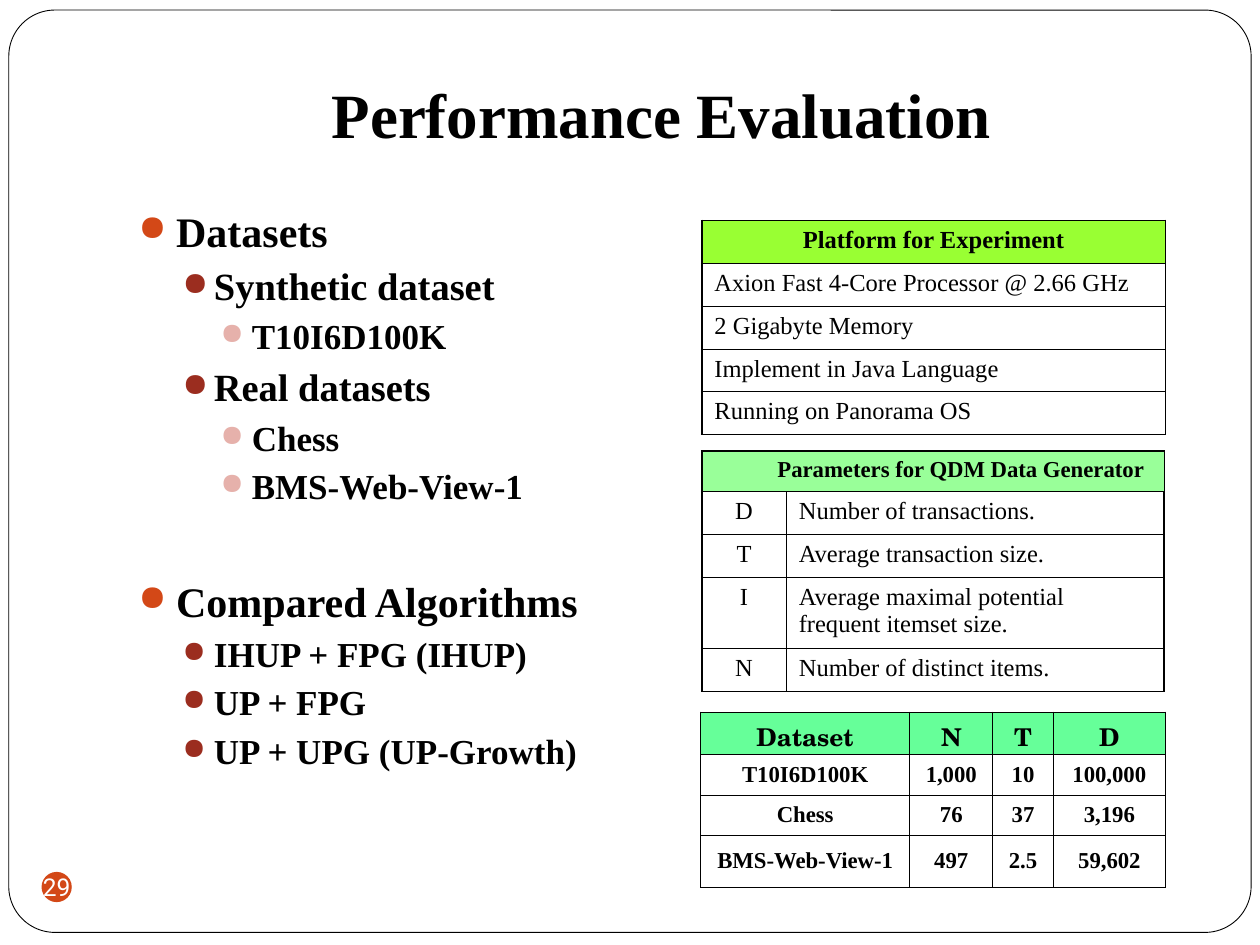
from lxml.etree import SubElement
from pptx import Presentation
from pptx.dml.color import RGBColor
from pptx.enum.shapes import MSO_SHAPE
from pptx.enum.text import MSO_ANCHOR, PP_ALIGN
from pptx.oxml.ns import qn
from pptx.util import Inches, Pt

BLACK = RGBColor(0x00, 0x00, 0x00)
WHITE = RGBColor(0xFF, 0xFF, 0xFF)
ORANGE = RGBColor(0xD3, 0x48, 0x17)
BRICK = RGBColor(0x9B, 0x2D, 0x1F)
PINK = RGBColor(0xE6, 0xB1, 0xAB)
LIME = RGBColor(0x99, 0xFF, 0x33)
LIGHT_GREEN = RGBColor(0x99, 0xFF, 0x99)
MINT = RGBColor(0x66, 0xFF, 0x99)

SERIF = "Times New Roman"
SCHOOLBOOK = "TeX Gyre Schola"
SANS = "Roboto"
CENTER, LEFT = PP_ALIGN.CENTER, PP_ALIGN.LEFT
MIDDLE, TOP = MSO_ANCHOR.MIDDLE, MSO_ANCHOR.TOP
THIN, THICK = 0.45, 1.08

BULLET_LEVELS = [
    {"left": 0.3, "hanging": 0.3, "color": ORANGE},
    {"left": 0.6, "hanging": 0.25, "color": BRICK},
    {"left": 0.9, "hanging": 0.25, "color": PINK},
]
OUTLINE = [
    (0, 24, "Datasets"),
    (1, 22, "Synthetic dataset"),
    (2, 20, "T10I6D100K"),
    (1, 22, "Real datasets"),
    (2, 20, "Chess"),
    (2, 20, "BMS-Web-View-1"),
    (0, 24, "Compared Algorithms"),
    (1, 20, "IHUP + FPG (IHUP)"),
    (1, 20, "UP + FPG"),
    (1, 20, "UP + UPG (UP-Growth)"),
]
SECTION_GAP, ITEM_GAP = 39.2, 3.7
PLATFORM = [
    "Platform for Experiment",
    "Axion Fast 4-Core Processor @ 2.66 GHz",
    "2 Gigabyte Memory",
    "Implement in Java Language",
    "Running on Panorama OS",
]
PARAMETERS = [
    ("Parameters for QDM Data Generator", ""),
    ("D", "Number of transactions."),
    ("T", "Average transaction size."),
    ("I", "Average maximal potential\vfrequent itemset size."),
    ("N", "Number of distinct items."),
]
DATASETS = [
    ("Dataset", "N", "T", "D"),
    ("T10I6D100K", "1,000", "10", "100,000"),
    ("Chess", "76", "37", "3,196"),
    ("BMS-Web-View-1", "497", "2.5", "59,602"),
]


class SlideBuilder:
    def __init__(self, page):
        self.page = page
        self.style = {"name": SERIF, "size": 14, "bold": False, "color": BLACK}

    def fill_text(self, para, text, align=LEFT, **changes):
        para.text = text
        para.alignment = align
        values = {**self.style, **changes}
        color = values.pop("color")
        values["size"] = Pt(values["size"])
        for span in para.runs:
            for name, value in values.items():
                setattr(span.font, name, value)
            span.font.color.rgb = color

    def shape(self, kind, left, top, width, height, fill):
        shape = self.page.shapes.add_shape(
            kind, Inches(left), Inches(top), Inches(width), Inches(height))
        shape.shadow.inherit = False
        shape.fill.solid()
        shape.fill.fore_color.rgb = fill
        shape.line.fill.background()
        return shape

    def frame(self):
        frame = self.shape(MSO_SHAPE.ROUNDED_RECTANGLE, 0.07, 0.08, 9.86, 7.32, WHITE)
        frame.adjustments[0] = 0.05
        frame.line.color.rgb = BLACK
        frame.line.width = Pt(0.5)

    def page_number(self, text):
        badge = self.shape(MSO_SHAPE.OVAL, 0.33, 6.92, 0.24, 0.24, ORANGE)
        box = badge.text_frame
        settings = {"margin_left": 0, "margin_right": 0, "margin_top": 0,
                    "margin_bottom": 0, "word_wrap": False,
                    "vertical_anchor": MIDDLE}
        for name, value in settings.items():
            setattr(box, name, value)
        self.fill_text(box.paragraphs[0], text, CENTER, name=SANS, color=WHITE)

    def text_box(self, left, top, width, height):
        box = self.page.shapes.add_textbox(
            Inches(left), Inches(top), Inches(width), Inches(height)).text_frame
        box.word_wrap = True
        return box

    def title(self, text):
        box = self.text_box(1, 0.3, 8.5, 1.25)
        box.vertical_anchor = MIDDLE
        box.margin_bottom = Inches(0.1)
        self.fill_text(box.paragraphs[0], text, CENTER, size=36, bold=True)

    def bullets(self, items):
        box = self.text_box(1, 1.58, 8.5, 5.67)
        for index, (level, size, text) in enumerate(items):
            para = box.add_paragraph() if index else box.paragraphs[0]
            look = BULLET_LEVELS[level]
            properties = para._p.get_or_add_pPr()
            properties.set("marL", str(Inches(look["left"])))
            properties.set("indent", str(-Inches(look["hanging"])))
            color = SubElement(properties, qn("a:buClr"))
            SubElement(color, qn("a:srgbClr"), val=str(look["color"]))
            SubElement(properties, qn("a:buSzPct"), val="85000")
            SubElement(properties, qn("a:buChar"), char="●")
            para.level = level
            if index:
                para.space_before = Pt(ITEM_GAP if level else SECTION_GAP)
            self.fill_text(para, text, size=size, bold=True)

    def borders(self, cell, widths):
        properties = cell._tc.get_or_add_tcPr()
        for side, width in zip("LRTB", widths):
            line = SubElement(properties, qn(f"a:ln{side}"), w=str(Pt(width)))
            fill = SubElement(line, qn("a:solidFill"))
            SubElement(fill, qn("a:srgbClr"), val=str(BLACK))

    def table(self, left, top, columns, heights, rows, look, outer=THICK):
        table = self.page.shapes.add_table(
            len(rows), len(columns), Inches(left), Inches(top),
            Inches(sum(columns)), Inches(sum(heights))).table
        for column, width in zip(table.columns, columns):
            column.width = Inches(width)
        for row, height in zip(table.rows, heights):
            row.height = Inches(height)
        last_row, last_column = len(rows) - 1, len(columns) - 1
        for y, texts in enumerate(rows):
            for x, text in enumerate(texts):
                cell = table.cell(y, x)
                edges = (x == 0, x == last_column, y == 0, y == last_row)
                self.borders(cell, [outer if edge else THIN for edge in edges])
                fill, anchor, align, font = look(y, x)
                cell.vertical_anchor = anchor
                if fill is None:
                    cell.fill.background()
                else:
                    cell.fill.solid()
                    cell.fill.fore_color.rgb = fill
                self.fill_text(cell.text_frame.paragraphs[0], text, align, **font)
        return table


def platform_look(y, x):
    if y == 0:
        return LIME, TOP, CENTER, {"bold": True}
    return WHITE, TOP, LEFT, {}


def parameter_look(y, x):
    if y == 0:
        return LIGHT_GREEN, TOP, LEFT, {"size": 13, "bold": True}
    return WHITE, TOP, LEFT if x else CENTER, {}


def dataset_look(y, x):
    if y == 0:
        return MINT, TOP, CENTER, {"name": SCHOOLBOOK, "bold": True}
    return None, MIDDLE, CENTER, {"size": 13, "bold": True}


def main():
    deck = Presentation()
    deck.slide_width, deck.slide_height = Inches(10), Inches(7.5)
    builder = SlideBuilder(deck.slides.add_slide(deck.slide_layouts[6]))
    builder.frame()
    builder.title("Performance Evaluation")
    builder.bullets(OUTLINE)
    builder.table(5.57, 1.75, [3.68], [0.34] * 5,
                  [(text,) for text in PLATFORM], platform_look)
    parameters = builder.table(5.57, 3.58, [0.67, 3], [0.32, 0.34, 0.34, 0.57, 0.34],
                               PARAMETERS, parameter_look)
    header = parameters.cell(0, 0)
    header.merge(parameters.cell(0, 1))
    header.text_frame.paragraphs[0]._p.get_or_add_pPr().set("marL", str(Inches(0.5)))
    builder.page_number("29")
    builder.table(5.56, 5.65, [1.66, 0.66, 0.48, 0.89], [0.34, 0.32, 0.32, 0.41],
                  DATASETS, dataset_look, outer=THIN)
    deck.save("out.pptx")


if __name__ == "__main__":
    main()
